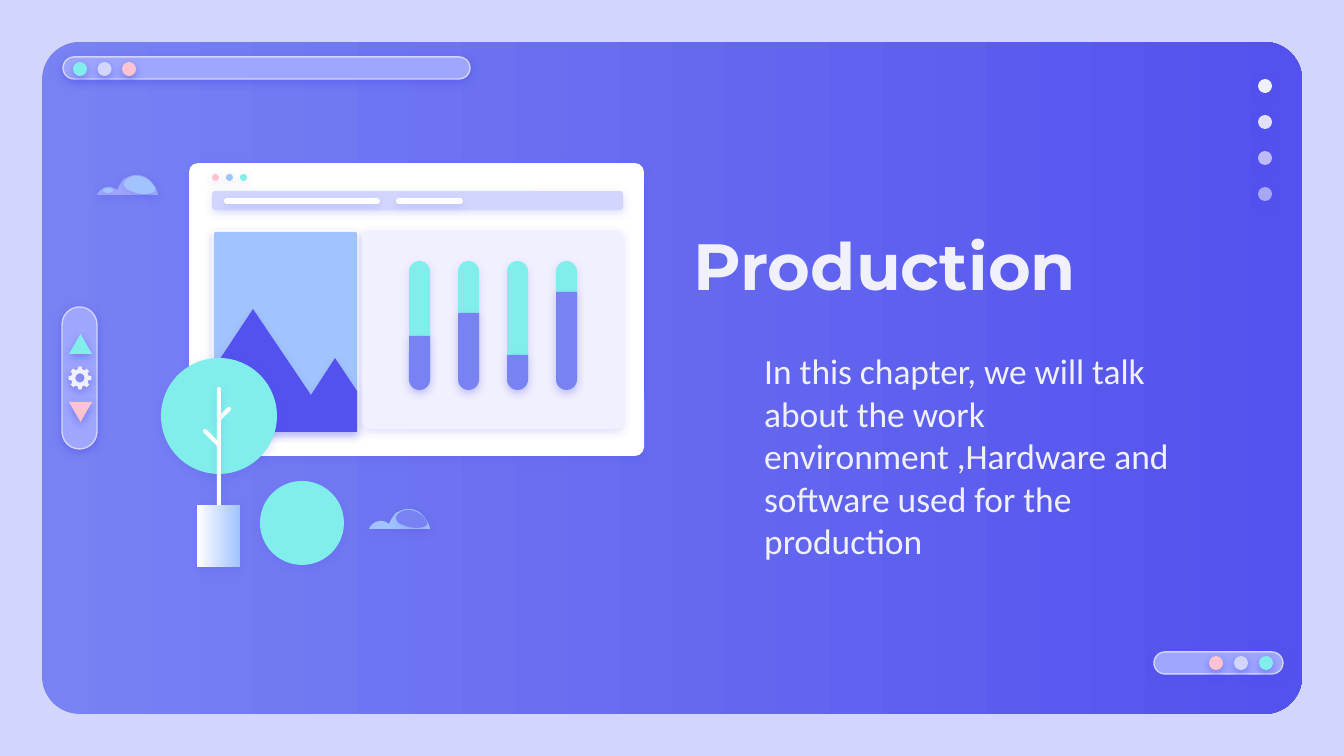
from math import cos, pi, sin

from lxml.etree import SubElement
from pptx import Presentation
from pptx.dml.color import RGBColor
from pptx.enum.shapes import MSO_CONNECTOR, MSO_SHAPE as SHAPE
from pptx.enum.text import MSO_ANCHOR as ANCHOR
from pptx.oxml.ns import qn
from pptx.util import Emu, Pt

PX = 914400 / 134.4
W, H = 1344, 756

WHITE = RGBColor(0xFF, 0xFF, 0xFF)
PALE = RGBColor(0xF1, 0xF0, 0xFF)
LAVENDER = RGBColor(0xD2, 0xD6, 0xFF)
LILAC = RGBColor(0x9E, 0xA6, 0xFF)
SKY = RGBColor(0xA1, 0xC3, 0xFF)
PERIWINKLE = RGBColor(0x78, 0x82, 0xF3)
INDIGO = RGBColor(0x53, 0x52, 0xEE)
MINT = RGBColor(0x81, 0xEE, 0xEB)
PINK = RGBColor(0xFF, 0xC3, 0xD0)

# Content: text, box, size, font, bold, anchor
TEXTS = [
    ("Production", (680, 212, 677, 85), 35, "Montserrat", True, ANCHOR.TOP),
    ("In this chapter, we will talk about the work environment ,Hardware and "
     "software used for the production",
     (751, 309, 487, 293), 19, "Calibri", False, ANCHOR.MIDDLE),
]
# Control pills: box, corner ratio
PILLS = [(63, 57, 407, 22), (1154, 652, 129, 22), (62, 307, 35, 142)]
# Dot rows: left, top, step, diameter, shadow %, colours
DOT_ROWS = [
    (73, 62, 24.5, 14, 50, (MINT, LAVENDER, PINK)),
    (1209, 656, 25, 14, 50, (PINK, LAVENDER, MINT)),
]
WINDOW_DOTS = (212, 174, 14, 7, 17, (PINK, SKY, MINT))
SIDE_DOT_ALPHAS = [100, 90, 67, 54]
# Browser window panels: box, corner radius, colour
PANELS = [
    ((189, 163, 455, 293), 9, WHITE),
    ((212, 230, 147, 203), 3, WHITE),
    ((214, 232, 143, 200), 2, SKY),
    ((212, 191, 411, 19), 3, LAVENDER),
    ((224, 198, 156, 6), 3, WHITE),
    ((396, 198, 67, 6), 3, WHITE),
    ((362, 230, 261, 199), 8, PALE),
]
MOUNTAINS = [(253, 309), (214, 368), (214, 432), (357, 432),
             (357, 391), (335, 358), (311, 395)]
BAR_TOP, BAR_BOTTOM, BAR_LEFT, BAR_STEP, BAR_W = 261, 390, 409, 49, 21
BAR_LEVELS = [336, 313, 355, 292]
# Cloud curves: start, then (control, control, end) or a single corner
CLOUD = [(39, 0), ((35, 0), (31, 2), (27, 4)), ((24, 7), (22, 11), (20, 15)),
         ((17, 13), (15, 12), (12, 12)), ((7, 12), (2, 15), (0, 20)),
         ((61, 20),), ((60, 13), (55, 7), (50, 3)), ((46, 1), (43, 0), (39, 0))]
GLOW = [(39, 1), ((35, 1), (31, 3), (29, 5)), ((27, 7), (26, 9), (28, 12)),
        ((29, 14), (31, 15), (34, 16)), ((38, 18), (43, 19), (48, 19)),
        ((52, 19), (55, 18), (57, 17)), ((59, 15), (59, 13), (57, 11)),
        ((53, 5), (46, 1), (39, 1))]
BRANCHES = [((219, 419), (229, 409)), ((219, 445), (205, 431))]

prs = Presentation()
prs.slide_width, prs.slide_height = Emu(round(W * PX)), Emu(round(H * PX))
s = prs.slides.add_slide(prs.slide_layouts[6])
s.background.fill.solid()
s.background.fill.fore_color.rgb = LAVENDER


def emu(*lengths):
    return [Emu(round(v * PX)) for v in lengths]


def style(sp, color, shadow=17, line=None, alpha=100):
    """Fill with one colour, or a left-to-right pair; shadow is its opacity."""
    fill = sp.fill
    if isinstance(color, list):
        fill.gradient()
        fill.gradient_angle = 0
        for stop, c in zip(fill.gradient_stops, color):
            stop.color.rgb = c
    else:
        fill.solid()
        fill.fore_color.rgb = color
    if alpha < 100:
        clr = next(sp.element.spPr.iter(qn("a:srgbClr")))
        SubElement(clr, qn("a:alpha"), val=str(alpha * 1000))
    if line:
        sp.line.color.rgb = line
        sp.line.width = Pt(0.75)
    else:
        sp.line.fill.background()
    sp.shadow.inherit = False
    if shadow:
        effects = sp.element.spPr.find(qn("a:effectLst"))
        outer = SubElement(effects, qn("a:outerShdw"), blurRad=str(Pt(4.5)),
                           dist=str(Pt(1.5)), dir="5400000", algn="bl", rotWithShape="0")
        clr = SubElement(outer, qn("a:srgbClr"), val=str(INDIGO))
        SubElement(clr, qn("a:alpha"), val=str(shadow * 1000))
    return sp


def shape(kind, box, color, **kw):
    return style(s.shapes.add_shape(kind, *emu(*box)), color, **kw)


def rounded(box, radius, color, **kw):
    sp = shape(SHAPE.ROUNDED_RECTANGLE, box, color, **kw)
    sp.adjustments[0] = min(radius / min(box[2:]), 0.5)
    return sp


def outline(contours, color, **kw):
    first, *rest = [[emu(*pt) for pt in contour] for contour in contours]
    fb = s.shapes.build_freeform(*first[0])
    fb.add_line_segments(first[1:])
    for contour in rest:
        fb.move_to(*contour[0])
        fb.add_line_segments(contour[1:])
    return style(fb.convert_to_shape(), color, **kw)


def curve(parts, dx, dy, steps=8):
    pts = [parts[0]]
    for part in parts[1:]:
        if len(part) == 1:
            pts.append(part[0])
            continue
        ctrl = (pts[-1], *part)
        for t in (i / steps for i in range(1, steps + 1)):
            weights = ((1 - t) ** 3, 3 * t * (1 - t) ** 2, 3 * t * t * (1 - t), t ** 3)
            pts.append(tuple(sum(w * c[a] for w, c in zip(weights, ctrl)) for a in (0, 1)))
    return [(x + dx, y + dy) for x, y in pts]


def cloud(x, y, body, glow):
    outline([curve(CLOUD, x, y)], body)
    outline([curve(GLOW, x, y)], glow)


def dots(left, top, step, d, shadow, colors):
    for i, color in enumerate(colors):
        shape(SHAPE.OVAL, (left + i * step, top, d, d), color, shadow=shadow)


def polar(cx, cy, r, angle):
    return cx + r * cos(angle), cy + r * sin(angle)


# Main panel, pills and dots
rounded((42, 42, 1260, 672), 37.6, [PERIWINKLE, INDIGO], shadow=0)
for box in PILLS[:2]:
    rounded(box, 99, LILAC, shadow=50, line=LAVENDER)
for row in DOT_ROWS:
    dots(*row)
for i, alpha in enumerate(SIDE_DOT_ALPHAS):
    shape(SHAPE.OVAL, (1258, 79 + 36 * i, 14, 14), PALE, shadow=50, alpha=alpha)

# Title and subtitle
for text, box, size, font, bold, anchor in TEXTS:
    tf = s.shapes.add_textbox(*emu(*box)).text_frame
    tf.word_wrap = True
    tf.vertical_anchor = anchor
    tf.margin_left = tf.margin_right = tf.margin_top = tf.margin_bottom = Pt(7.2)
    p = tf.paragraphs[0]
    p.text = text
    p.font.size, p.font.name, p.font.bold = Pt(size), font, bold
    p.font.color.rgb = PALE

# Browser window
shape(SHAPE.OVAL, (260, 481, 84, 84), MINT)
for panel in PANELS:
    rounded(*panel)
outline([MOUNTAINS + MOUNTAINS[:1]], INDIGO)
dots(*WINDOW_DOTS)
for i, level in enumerate(BAR_LEVELS):
    x = BAR_LEFT + i * BAR_STEP
    rounded((x, BAR_TOP, BAR_W, BAR_BOTTOM - BAR_TOP), 99, MINT)
    sp = shape(SHAPE.ROUND_2_SAME_RECTANGLE, (x, level, BAR_W, BAR_BOTTOM - level), PERIWINKLE)
    sp.adjustments[0], sp.adjustments[1] = 0, 0.5

# Clouds
cloud(97, 175, LILAC, SKY)
shape(SHAPE.OVAL, (103, 188, 10, 5), SKY)
cloud(369, 509, SKY, PERIWINKLE)

# Potted tree
shape(SHAPE.OVAL, (161, 358, 116, 116), MINT)
rounded((217, 387, 4, 128), 2, WHITE)
for start, end in BRANCHES:
    branch = s.shapes.add_connector(MSO_CONNECTOR.STRAIGHT, *emu(*start, *end))
    branch.line.color.rgb = WHITE
    branch.line.width = Pt(2.25)
    branch.line._get_or_add_ln().set("cap", "rnd")
    SubElement(branch.element.spPr, qn("a:effectLst"))
shape(SHAPE.RECTANGLE, (197, 505, 43, 62), [WHITE, SKY])

# Side control: arrows and gear
rounded(PILLS[2], 99, LILAC, shadow=50, line=LAVENDER)
shape(SHAPE.ISOSCELES_TRIANGLE, (69, 334, 23, 20), MINT, shadow=50)
shape(SHAPE.ISOSCELES_TRIANGLE, (69, 402, 23, 20), PINK, shadow=50).rotation = 180
teeth = [polar(80, 378, r, k * pi / 4 + a) for k in range(8)
         for r, a in ((9, -0.22), (11.5, -0.18), (11.5, 0.18), (9, 0.22))]
hole = [polar(80, 378, 4.5, -k * pi / 12) for k in range(25)]
outline([teeth + teeth[:1], hole], PALE, shadow=52)

prs.save("out.pptx")
